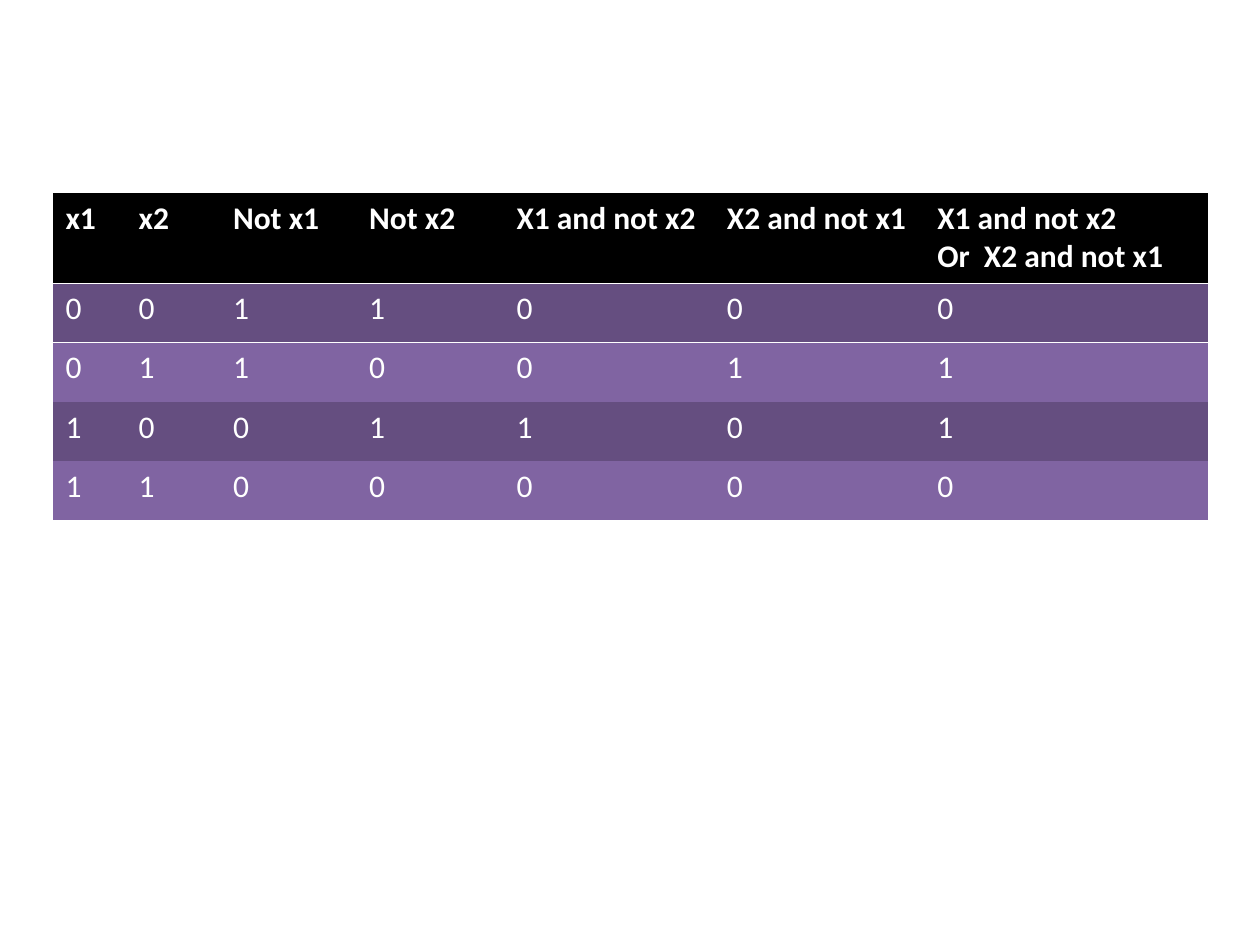
from lxml import etree
from pptx import Presentation
from pptx.dml.color import RGBColor
from pptx.oxml import parse_xml
from pptx.oxml.ns import nsdecls
from pptx.util import Inches, Pt

COLORS = {"header": "000000", "odd": "654E80", "even": "8064A2", "text": "FFFFFF"}
NO_GRID_STYLE = "{2D5ABB26-0587-4C30-8999-92F81FD0307C}"

prs = Presentation()
prs.slide_width, prs.slide_height = Inches(10), Inches(7.5)
slide = prs.slides.add_slide(prs.slide_layouts[6])

truth_rows = [
    ["x1", "x2", "Not x1", "Not x2", "X1 and not x2", "X2 and not x1",
     "X1 and not x2\nOr  X2 and not x1"],
    "0011000",
    "0110011",
    "1001101",
    "1100000",
]
column_widths = [0.58, 0.75, 1.08, 1.17, 1.67, 1.67, 2.25]
row_heights = [0.72] + [0.47] * 4

frame = slide.shapes.add_table(
    len(row_heights), len(column_widths),
    Inches(0.42), Inches(1.53), Inches(9.17), Inches(2.6))
truth_table = frame.table
style_id = truth_table._tbl.tblPr[0]
style_id.text = NO_GRID_STYLE
truth_table.horz_banding = False

for column, width in zip(truth_table.columns, column_widths):
    column.width = Inches(width)
for row, height in zip(truth_table.rows, row_heights):
    row.height = Inches(height)

for r, values in enumerate(truth_rows):
    band = "header" if r == 0 else "odd" if r % 2 else "even"
    for c, value in enumerate(values):
        cell = truth_table.cell(r, c)
        cell.text = value
        cell.fill.solid()
        cell.fill.fore_color.rgb = RGBColor.from_string(COLORS[band])
        font_format = {"name": "Calibri", "size": Pt(18), "bold": r == 0}
        for paragraph in cell.text_frame.paragraphs:
            for run in paragraph.runs:
                for attribute, setting in font_format.items():
                    setattr(run.font, attribute, setting)
                run.font.color.rgb = RGBColor.from_string(COLORS["text"])
        if r < 2:
            edge = "lnB" if r == 0 else "lnT"
            border = parse_xml(f'<a:{edge} {nsdecls("a")} w="{Pt(0.96)}"/>')
            line_fill = etree.SubElement(border, border.tag.replace(edge, "solidFill"))
            etree.SubElement(line_fill, border.tag.replace(edge, "srgbClr"), val=COLORS["text"])
            cell._tc.get_or_add_tcPr().insert(0, border)

prs.save("out.pptx")
